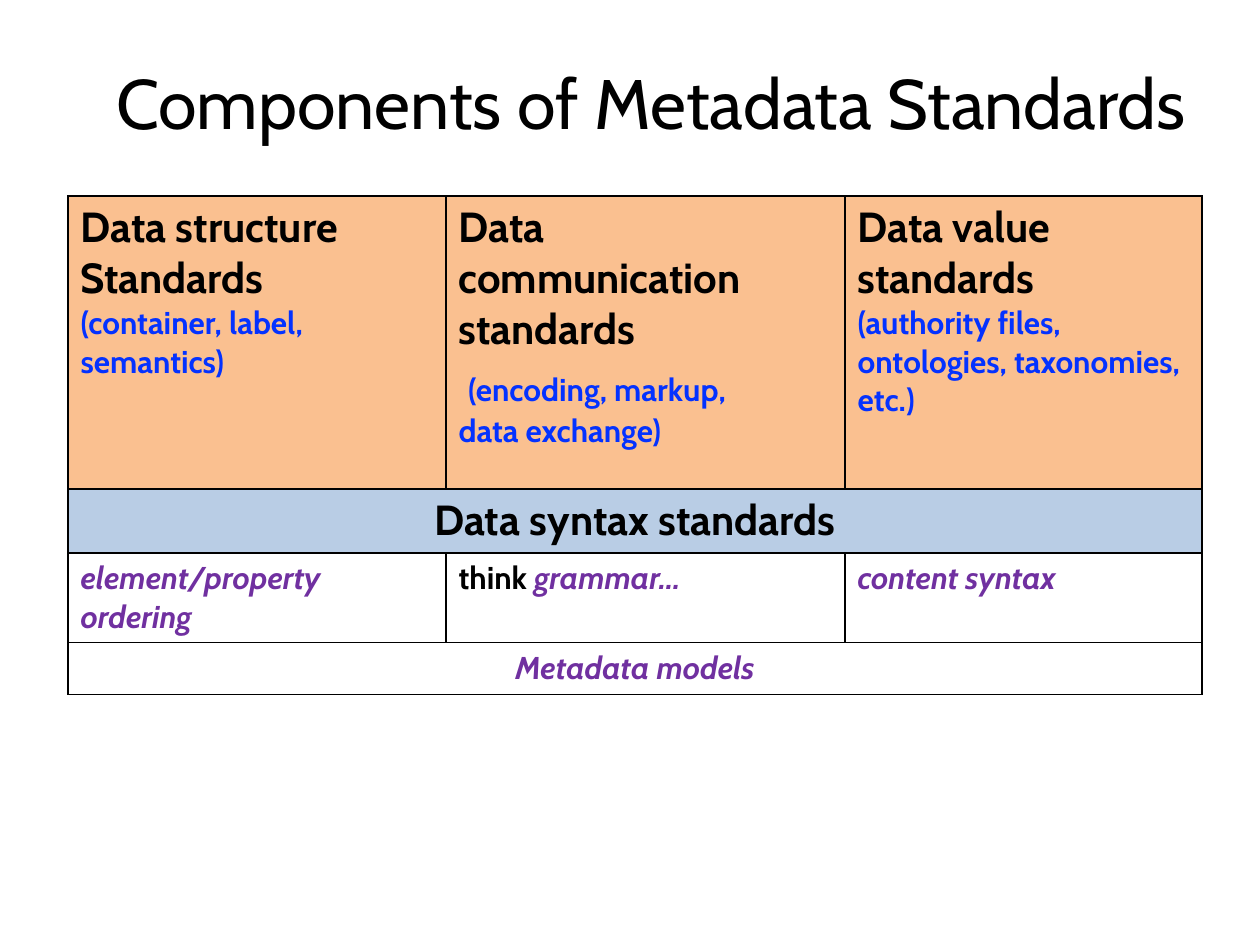
from lxml import etree
from pptx import Presentation
from pptx.dml.color import RGBColor
from pptx.enum.text import MSO_ANCHOR, PP_ALIGN
from pptx.oxml.ns import qn
from pptx.util import Pt

PX = 914400 / 126
LEFT, CENTER = PP_ALIGN.LEFT, PP_ALIGN.CENTER
TOP, MIDDLE = MSO_ANCHOR.TOP, MSO_ANCHOR.MIDDLE
BLACK, BLUE, PURPLE = "000000", "0432FF", "7030A0"
PEACH, SKY, WHITE = "FAC090", "B9CDE5", "FFFFFF"


def emu(px):
    return round(px * PX)


def paint(text):
    return RGBColor.from_string(text)


def write(para, text, size=18, color=BLACK, bold=True, italic=False, face="Cabin"):
    run = para.add_run()
    run.text = text
    font = run.font
    font.name, font.size, font.bold, font.italic = face, Pt(size), bold, italic
    font.color.rgb = paint(color)


def head(text):
    return [(text, {"size": 24})]


def note(text):
    return [(text, {"color": BLUE})]


def term(text):
    return [(text, {"color": PURPLE, "italic": True})]


class Deck:
    """Holds the table style and the current slide."""

    def __init__(self, wide, high):
        self.show = Presentation()
        self.show.slide_width, self.show.slide_height = emu(wide), emu(high)
        self.slide = self.show.slides.add_slide(self.show.slide_layouts[5])
        self.line, self.width = BLACK, Pt(1)

    def title(self, text, left, top, wide, high):
        shape = self.slide.shapes.title
        shape.left, shape.top = emu(left), emu(top)
        shape.width, shape.height = emu(wide), emu(high)
        frame = shape.text_frame
        frame.word_wrap, frame.vertical_anchor = True, TOP
        para = frame.paragraphs[0]
        para.alignment = CENTER
        write(para, text, size=40, bold=False)

    def border(self, cell):
        props = cell._tc.get_or_add_tcPr()
        for side in ("lnL", "lnR", "lnT", "lnB"):
            line = etree.SubElement(props, qn("a:" + side), w=str(self.width))
            solid = etree.SubElement(line, qn("a:solidFill"))
            etree.SubElement(solid, qn("a:srgbClr"), val=self.line)

    def cell(self, cell, paras, align, anchor):
        cell.vertical_anchor = anchor
        frame = cell.text_frame
        for i, runs in enumerate(paras):
            para = frame.add_paragraph() if i else frame.paragraphs[0]
            para.alignment = align
            if runs[0][0] == " ":
                para.space_before = Pt(3)
            for text, style in runs:
                write(para, text, **style)

    def table(self, left, top, cols, rows):
        high = [row[0] for row in rows]
        grid = self.slide.shapes.add_table(
            len(rows), len(cols), emu(left), emu(top), emu(sum(cols)), emu(sum(high))
        ).table
        for col, wide in zip(grid.columns, cols):
            col.width = emu(wide)
        for r, (tall, fill, anchor, cells) in enumerate(rows):
            grid.rows[r].height = emu(tall)
            for c in range(len(cols)):
                cell = grid.cell(r, c)
                self.border(cell)
                cell.fill.solid()
                cell.fill.fore_color.rgb = paint(fill)
            span = len(cells) == 1
            if span:
                grid.cell(r, 0).merge(grid.cell(r, len(cols) - 1))
            for c, paras in enumerate(cells):
                self.cell(grid.cell(r, c), paras, CENTER if span else LEFT, anchor)


def main():
    deck = Deck(1260, 945)
    deck.title("Components of Metadata Standards", 84, 53, 1134, 158)
    kinds = [
        [head("Data structure"), head("Standards"), note("(container, label, semantics)")],
        [
            head("Data communication standards"),
            [(" ", {"size": 24, "color": BLUE})] + note("(encoding, markup,"),
            note("data exchange)"),
        ],
        [
            head("Data value standards"),
            note("(authority files, ontologies, taxonomies, etc.)"),
        ],
    ]
    syntax = [
        [term("element/property ordering")],
        [[("think ", {})] + term("grammar…")],
        [term("content syntax")],
    ]
    rows = [
        (293, PEACH, TOP, kinds),
        (64, SKY, MIDDLE, [[head("Data syntax standards")]]),
        (89, WHITE, TOP, syntax),
        (52, WHITE, TOP, [[term("Metadata models")]]),
    ]
    deck.table(68, 196, [378, 399, 357], rows)
    deck.show.save("out.pptx")


if __name__ == "__main__":
    main()
